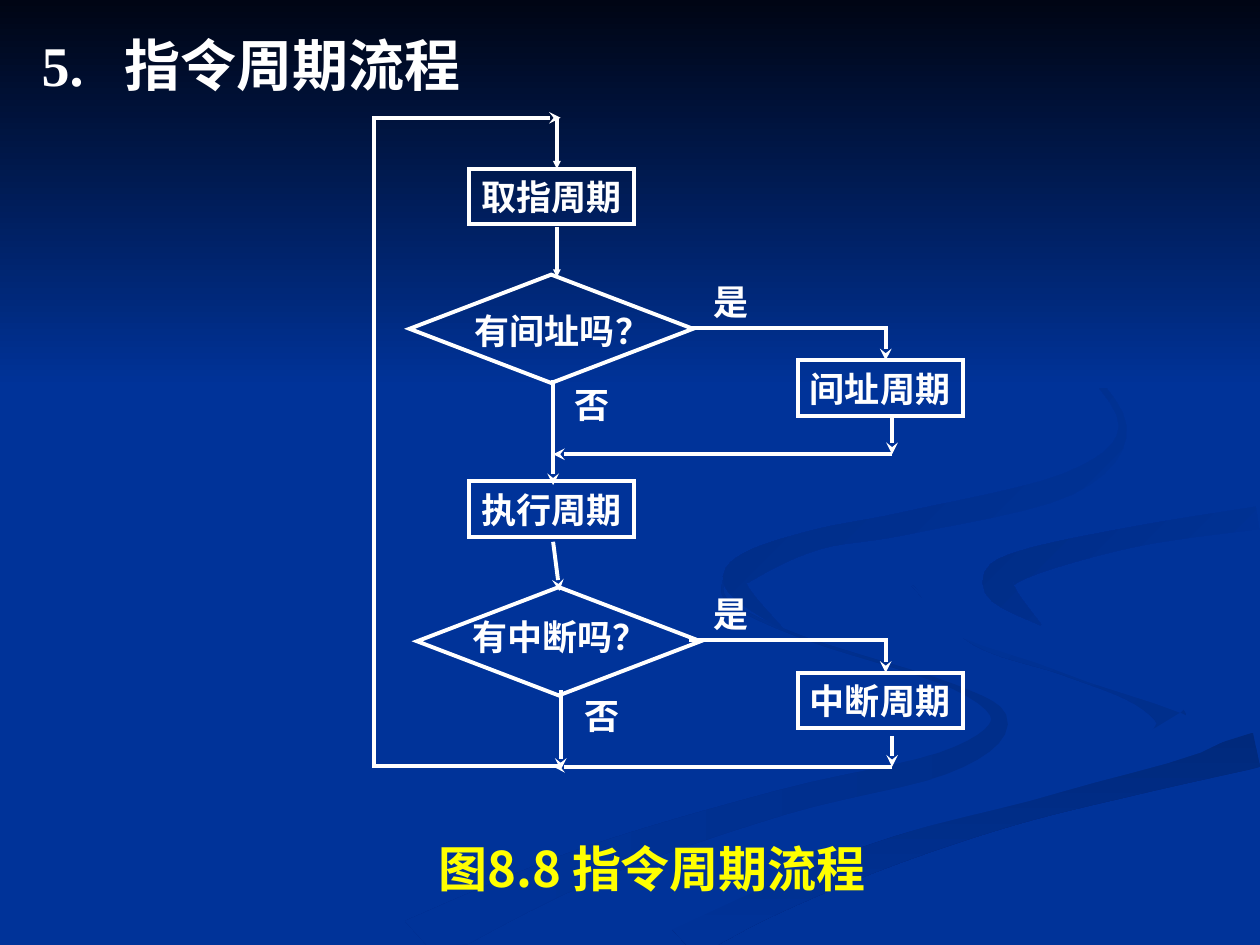
from math import hypot

from lxml.etree import SubElement
from pptx import Presentation
from pptx.dml.color import RGBColor
from pptx.enum.shapes import MSO_CONNECTOR, MSO_SHAPE
from pptx.enum.text import MSO_ANCHOR, MSO_AUTO_SIZE, PP_ALIGN
from pptx.oxml.ns import qn
from pptx.util import Inches, Pt

COLUMNS, ROWS = 1000, 750
WIDTH, HEIGHT = Inches(10), Inches(7.5)
WHITE = RGBColor(0xFF, 0xFF, 0xFF)
YELLOW = RGBColor(0xFF, 0xFF, 0x00)
BLUE = RGBColor(0x00, 0x33, 0x99)
NIGHT = RGBColor(0x00, 0x05, 0x14)
SHADE = RGBColor(0x00, 0x2E, 0x8A)
DEEP_SHADE = RGBColor(0x00, 0x29, 0x7C)
SOFT_SHADE = RGBColor(0x00, 0x2C, 0x85)
CURL_SHADE = RGBColor(0x00, 0x2B, 0x81)
LATIN, HAN = "Times New Roman", "Noto Sans CJK SC"

LINE_HEIGHT = 44
BOX_WIDTH, QUESTION_WIDTH, ANSWER_WIDTH = 131, 159, 48
DIAMOND_WIDTH, DIAMOND_HEIGHT = 225, 86
MAIN_LEFT, BRANCH_LEFT = 372, 633
TRUNK, ENTRY, EXIT = 439, 442, 445
YES_START, BRANCH_IN, BRANCH_OUT = 547, 703, 708
LOOP_LEFT, LOOP_TOP, LOOP_BOTTOM = 297, 93.5, 608
CYCLE_TOP, STAGE_PITCH = 134, 248
DIAMOND_DROP, BRANCH_DROP, MERGE_DROP = 84, 152, 226.5
CURVE_STEPS = 6


def col(count):
    return round(WIDTH * count / COLUMNS)


def row(count):
    return round(HEIGHT * count / ROWS)


def place(left, top, width, height):
    return col(left), row(top), col(width), row(height)


def write(frame, text, size=20, color=WHITE, latin=LATIN, align=PP_ALIGN.LEFT,
          wrap=False, tab=None):
    frame.word_wrap = wrap
    frame.auto_size = MSO_AUTO_SIZE.NONE
    frame.vertical_anchor = MSO_ANCHOR.MIDDLE
    frame.text = text
    paragraph = frame.paragraphs[0]
    paragraph.alignment = align
    if tab:
        stops = SubElement(paragraph._p.get_or_add_pPr(), qn("a:tabLst"))
        SubElement(stops, qn("a:tab"), pos=str(col(tab)), algn="l")
    for run in paragraph.runs:
        run.font.size = Pt(size)
        run.font.bold = True
        run.font.name = latin
        run.font.color.rgb = color
        SubElement(run._r.get_or_add_rPr(), qn("a:ea"), typeface=HAN)


def label(slide, text, left, top, width, height=LINE_HEIGHT, **style):
    box = slide.shapes.add_textbox(*place(left, top, width, height))
    write(box.text_frame, text, **style)


def outline(slide, points, closed):
    start, *rest = [(col(x), row(y)) for x, y in points]
    builder = slide.shapes.build_freeform(*start)
    builder.add_line_segments(rest, close=closed)
    path = builder.convert_to_shape()
    path.shadow.inherit = False
    return path


def spline(before, start, end, after, t):
    return (start + t * (end - before) / 2
            + t ** 2 * (before - 2.5 * start + 2 * end - after / 2)
            + t ** 3 * (3 * start - 3 * end + after - before) / 2)


def smooth(spine):
    padded = [spine[0], *spine, spine[-1]]
    for stations in zip(padded, padded[1:], padded[2:], padded[3:]):
        for step in range(CURVE_STEPS):
            yield tuple(spline(*axis, step / CURVE_STEPS) for axis in zip(*stations))
    yield spine[-1]


def ribbon_edges(spine):
    curve = list(smooth(spine))
    near, far = [], []
    for before, (x, y, half), after in zip(curve[:1] + curve, curve, curve[1:] + curve[-1:]):
        dx, dy = after[0] - before[0], after[1] - before[1]
        length = hypot(dx, dy)
        across, down = -dy / length * half, dx / length * half
        near.append((min(x + across, COLUMNS), min(y + down, ROWS)))
        far.append((min(x - across, COLUMNS), min(y - down, ROWS)))
    return near + far[::-1]


def shade(band, first, last, angle):
    band.shadow.inherit = False
    band.line.fill.background()
    band.fill.gradient()
    band.fill.gradient_angle = angle
    for stop, color in zip(band.fill.gradient_stops, (first, last)):
        stop.color.rgb = color


def ribbon(slide, *spine, first=BLUE, last=BLUE, angle=135):
    shade(outline(slide, ribbon_edges(spine), True), first, last, angle)


def backdrop(slide):
    slide.background.fill.solid()
    slide.background.fill.fore_color.rgb = BLUE
    ribbon(slide, (574, 460, 0.5), (580, 479, 1), (640, 507, 1), (757, 545, 2),
           (793, 574, 7), (748, 606, 9), (620, 637, 10), (462, 688, 14), (330, 749, 20),
           first=SHADE, angle=180)
    ribbon(slide, (724, 465, 0.5), (774, 508, 4), (845, 530, 6), (905, 551, 9),
           (930, 575, 12), (894, 605, 0.5), first=SHADE)
    ribbon(slide, (998, 595, 14), (900, 621, 10), (800, 647, 9), (696, 680, 11),
           (600, 719, 13), (537, 749, 18), first=DEEP_SHADE, angle=270)
    ribbon(slide, (999, 395, 8), (850, 420, 8), (755, 464, 28), (850, 515, 20),
           (968, 562, 22), (840, 622, 7), (680, 668, 5), (500, 748, 5))
    ribbon(slide, (998, 411, 9), (900, 426, 8), (812, 448, 11), (793, 466, 12),
           (826, 496, 0.5), last=SOFT_SHADE)
    ribbon(slide, (762, 233, 0.5), (843, 277, 2), (891, 338, 3), (848, 384, 9),
           (720, 415, 9), (649, 428, 8), (595, 449, 11), (585, 466, 8), (622, 500, 0.5),
           last=CURL_SHADE)
    sky = slide.shapes.add_shape(MSO_SHAPE.RECTANGLE, *place(0, 0, COLUMNS, 308))
    shade(sky, NIGHT, BLUE, 270)


def stroke(path):
    path.line.color.rgb = WHITE
    path.line.width = Pt(2.25)
    line = path.line._get_or_add_ln()
    SubElement(line, qn("a:miter"), lim="800000")
    return line


def node(slide, kind, left, top, width, height, text=None):
    block = slide.shapes.add_shape(kind, *place(left, top, width, height))
    block.shadow.inherit = False
    block.fill.background()
    stroke(block)
    if text:
        write(block.text_frame, text, align=PP_ALIGN.CENTER)


def cycle_box(slide, text, left, top):
    node(slide, MSO_SHAPE.RECTANGLE, left, top, BOX_WIDTH, LINE_HEIGHT, text)


def arrow(slide, *points, head="stealth", head_size="med"):
    if len(points) == 2:
        (x1, y1), (x2, y2) = points
        route = slide.shapes.add_connector(
            MSO_CONNECTOR.STRAIGHT, col(x1), row(y1), col(x2), row(y2))
        SubElement(route._element.spPr, qn("a:effectLst"))
    else:
        route = outline(slide, points, False)
        route.fill.background()
    SubElement(stroke(route), qn("a:tailEnd"), type=head, w=head_size, len=head_size)


def heading(slide, text):
    title = slide.shapes.title
    title.left, title.top, title.width, title.height = place(23, 19, 540, 64)
    write(title.text_frame, text, size=32, wrap=True, tab=65.5)
    slide.shapes._spTree.append(title._element)


def stage(slide, top, cycle, question, question_left, question_top, diamond_left,
          branch, branch_gap):
    diamond_top, branch_top = top + DIAMOND_DROP, top + BRANCH_DROP
    yes_line, merge_line = diamond_top + DIAMOND_HEIGHT / 2 - 1, top + MERGE_DROP
    cycle_box(slide, cycle, MAIN_LEFT, top)
    node(slide, MSO_SHAPE.DIAMOND, diamond_left, diamond_top, DIAMOND_WIDTH, DIAMOND_HEIGHT)
    label(slide, question, question_left, question_top, QUESTION_WIDTH)
    label(slide, "是", 556.5, yes_line - LINE_HEIGHT + 1, ANSWER_WIDTH)
    cycle_box(slide, branch, BRANCH_LEFT, branch_top)
    arrow(slide, (YES_START, yes_line), (BRANCH_IN, yes_line), (BRANCH_IN, branch_top))
    arrow(slide, (BRANCH_OUT, branch_top + LINE_HEIGHT + branch_gap), (BRANCH_OUT, merge_line))
    arrow(slide, (BRANCH_OUT, merge_line), (TRUNK, merge_line))


def main():
    deck = Presentation()
    deck.slide_width, deck.slide_height = WIDTH, HEIGHT
    slide = deck.slides.add_slide(deck.slide_layouts[5])
    backdrop(slide)
    heading(slide, "5.\t指令周期流程")
    stage(slide, CYCLE_TOP, "取指周期", "有间址吗？", 367, 240, 325, "间址周期", 1)
    stage(slide, CYCLE_TOP + STAGE_PITCH, "执行周期", "有中断吗？", 365, 483, 331,
          "中断周期", 6)
    for left, top in ((446, 299), (454, 546)):
        label(slide, "否", left, top, ANSWER_WIDTH)
    arrow(slide, (TRUNK, 302), (TRUNK, 385))
    arrow(slide, (TRUNK, 430), (444, 469))
    arrow(slide, (EXIT, 548), (EXIT, 611))
    arrow(slide, (EXIT, LOOP_BOTTOM), (LOOP_LEFT, LOOP_BOTTOM),
          (LOOP_LEFT, LOOP_TOP), (EXIT, LOOP_TOP))
    for start in (94, 180):
        arrow(slide, (ENTRY, start), (ENTRY, start + 40), head="triangle", head_size="sm")
    label(slide, "图8.8 指令周期流程", 169, 660, 697, 57, size=28, color=YELLOW,
          latin=HAN, align=PP_ALIGN.CENTER, wrap=True)
    deck.save("out.pptx")


if __name__ == "__main__":
    main()
